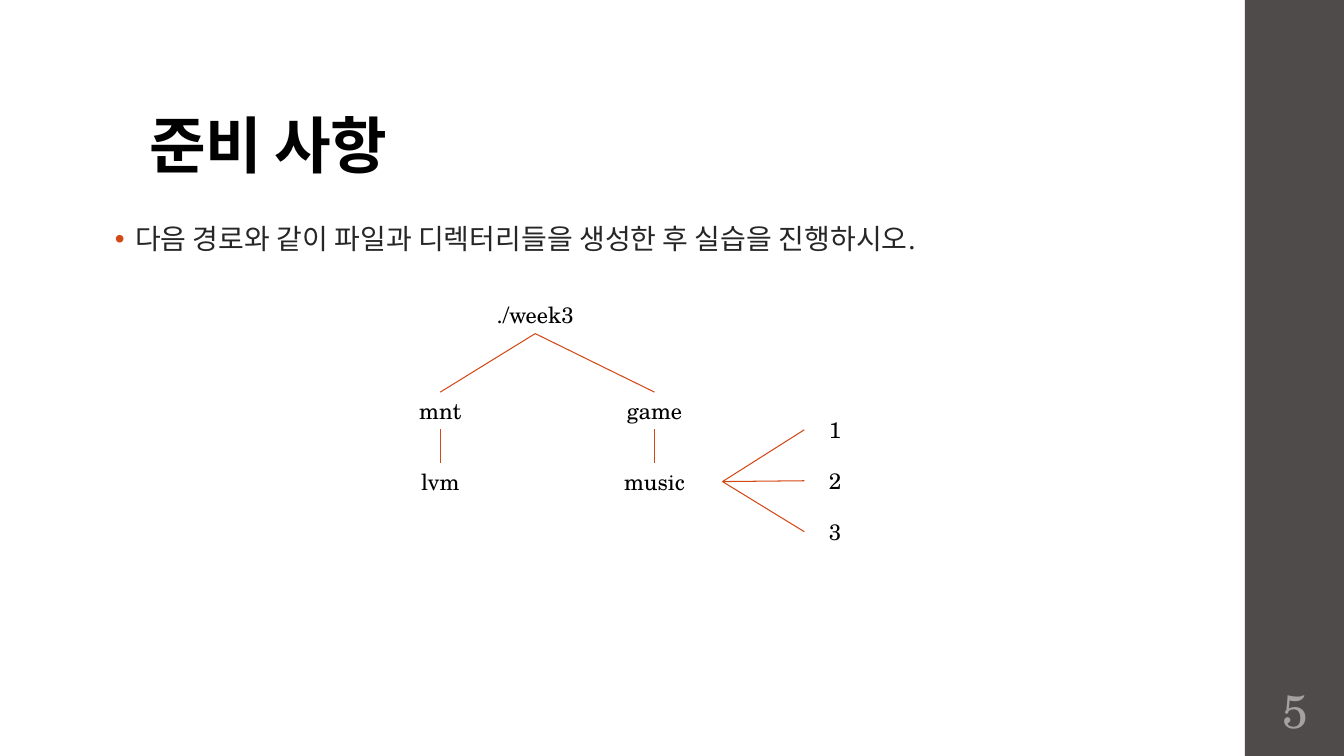
from pptx import Presentation
from pptx.dml.color import RGBColor
from pptx.enum.shapes import MSO_CONNECTOR, MSO_SHAPE
from pptx.enum.text import MSO_ANCHOR, MSO_AUTO_SIZE, PP_ALIGN
from pptx.oxml.ns import qn
from pptx.util import Pt
from lxml import etree

LINE, RECT = MSO_CONNECTOR.STRAIGHT, MSO_SHAPE.RECTANGLE
MIDDLE, BOTTOM = MSO_ANCHOR.MIDDLE, MSO_ANCHOR.BOTTOM
LEFT, CENTER = PP_ALIGN.LEFT, PP_ALIGN.CENTER
FIXED = MSO_AUTO_SIZE.NONE
# Connection sites of a rectangle
TOP_SITE, LEFT_SITE, BOTTOM_SITE, RIGHT_SITE = range(4)

KOREAN, SERIF = "Noto Sans CJK KR", "TeX Gyre Schola"
COLORS = {"bar": "4F4B4B", "accent": "D34817", "title": "000000",
          "body": "262626", "node": "000000", "number": "A6A1A1"}


def rgb(name):
    return RGBColor.from_string(COLORS[name])


def place(sp, box):
    sp.left, sp.top, sp.width, sp.height = (Pt(v) for v in box)


def write(sp, text, size, font, color, align=CENTER, bold=False):
    """Fill a shape with one paragraph and return the paragraph."""
    tf = sp.text_frame
    tf.word_wrap = True
    tf.auto_size = FIXED
    p = tf.paragraphs[0]
    p.text = text
    p.alignment = align
    f = p.font
    f.size, f.name, f.bold = Pt(size), font, bold
    f.color.rgb = rgb(color)
    # East Asian typeface for the Korean text
    latin = f._element.find(qn("a:latin"))
    ea = etree.Element(qn("a:ea"), typeface=KOREAN)
    latin.addnext(ea)
    return p


def add_sidebar(s, box):
    x, y, w, h = box
    bar = s.shapes.add_shape(RECT, *(Pt(v) for v in box))
    bar.shadow.inherit = False
    bar.fill.solid()
    bar.fill.fore_color.rgb = rgb("bar")
    bar.line.fill.background()
    # Slide number
    sp = s.shapes.add_textbox(Pt(x), Pt(y + h - 54), Pt(w), Pt(46.8))
    p = write(sp, "5", 33.3, SERIF, "number")
    p.line_spacing = 0.9
    tf = sp.text_frame
    tf.vertical_anchor = MIDDLE
    tf.margin_left = tf.margin_right = Pt(3.6)
    tf.margin_top = tf.margin_bottom = Pt(3.6)


def add_title(s, box):
    sp = s.shapes.title
    place(sp, box)
    p = write(sp, "준비 사항", 44, KOREAN, "title", LEFT, True)
    p.line_spacing = 0.9
    p.font._element.set("spc", "-50")
    sp.text_frame.vertical_anchor = BOTTOM


def add_body(s, box):
    sp = s.placeholders[1]
    place(sp, box)
    p = write(sp, "다음 경로와 같이 파일과 디렉터리들을 생성한 후 실습을 진행하시오.",
              20, SERIF, "body", LEFT)
    p.level = 1
    p.space_before = p.space_after = Pt(3)
    # Hanging indent and coloured bullet
    pPr = p._p.get_or_add_pPr()
    pPr.set("marL", str(Pt(36)))
    pPr.set("indent", str(-Pt(14.4)))
    defaults = p.font._element
    color = etree.Element(qn("a:buClr"))
    etree.SubElement(color, qn("a:srgbClr"), val=COLORS["accent"])
    defaults.addprevious(color)
    defaults.addprevious(etree.Element(qn("a:buFont"), typeface="Arial"))
    defaults.addprevious(etree.Element(qn("a:buChar"), char="•"))


def add_tree(s, box):
    x, y, w, h = box
    node_h = 26.6
    left_x, right_x = 87, 240

    def node(text, center, top, width):
        sp = s.shapes.add_textbox(Pt(x + center - width / 2), Pt(y + top),
                                  Pt(width), Pt(node_h))
        write(sp, text, 16, SERIF, "node")
        return sp

    def link(a, a_site, b, b_site):
        c = s.shapes.add_connector(LINE, 0, 0, 0, 0)
        c.begin_connect(a, a_site)
        c.end_connect(b, b_site)
        c.line.color.rgb = rgb("accent")
        c.line.width = Pt(0.75)
        etree.SubElement(c._element.spPr, qn("a:effectLst"))

    # Directories
    root = node("./week3", 154.8, 0, 309.6)
    for center, parent, child in ((left_x, "mnt", "lvm"),
                                  (right_x, "game", "music")):
        upper = node(parent, center, 68.4, 104.4)
        lower = node(child, center, 119, 97.2)
        link(root, BOTTOM_SITE, upper, TOP_SITE)
        link(upper, BOTTOM_SITE, lower, TOP_SITE)
    # Files inside the last directory, music
    file_w, step = 44, 36.4
    for i in range(3):
        file = node(str(i + 1), w - file_w / 2, h - node_h - (2 - i) * step,
                    file_w)
        link(lower, RIGHT_SITE, file, LEFT_SITE)


prs = Presentation()
prs.slide_width, prs.slide_height = Pt(960), Pt(540)
s = prs.slides.add_slide(prs.slide_layouts[1])
add_sidebar(s, (889.2, 0, 72, 540))
add_title(s, (99.4, 28.8, 763.2, 104.4))
add_body(s, (53.3, 154.8, 846.7, 296.6))
add_tree(s, (227.5, 211.7, 391, 181.4))
prs.save("out.pptx")
